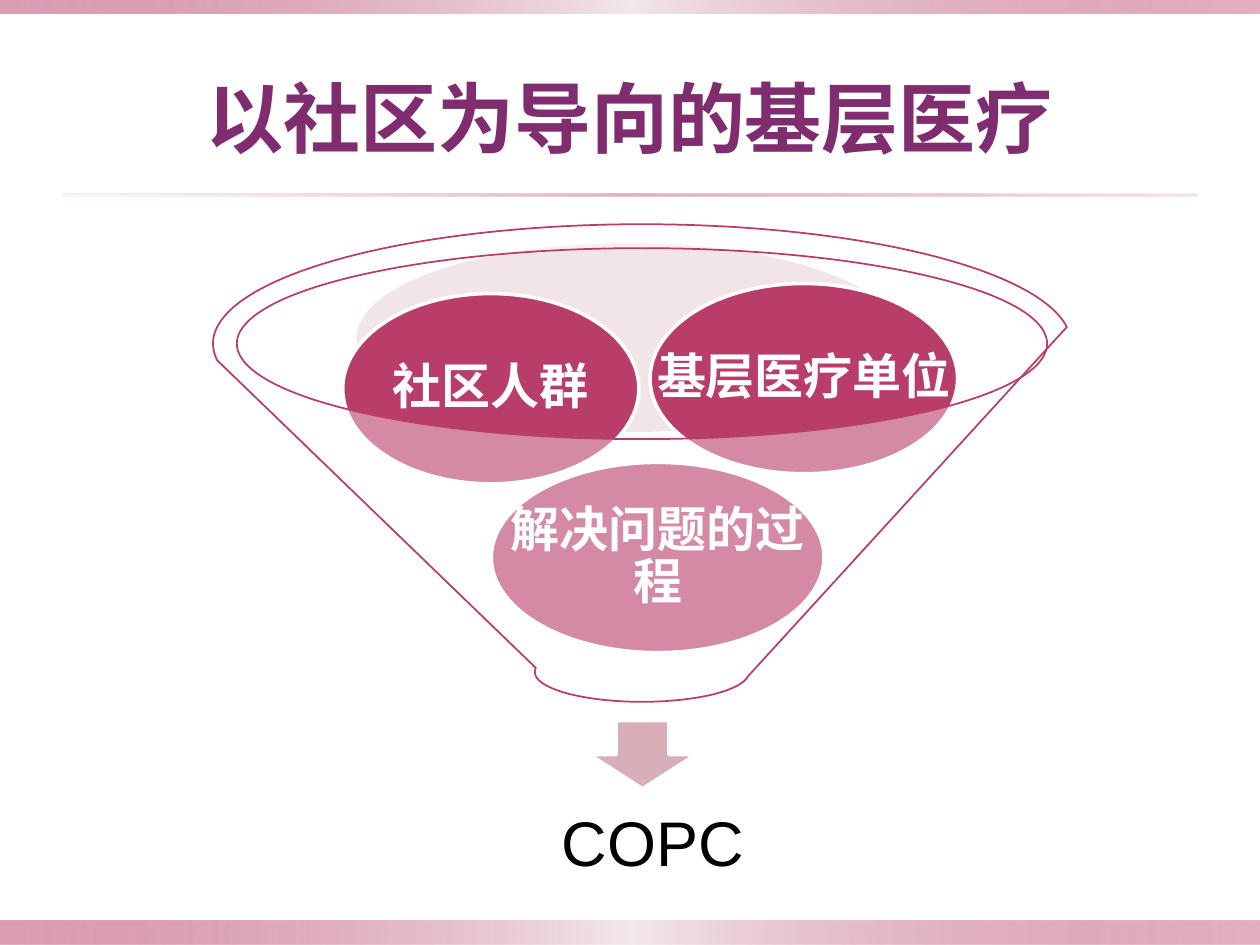
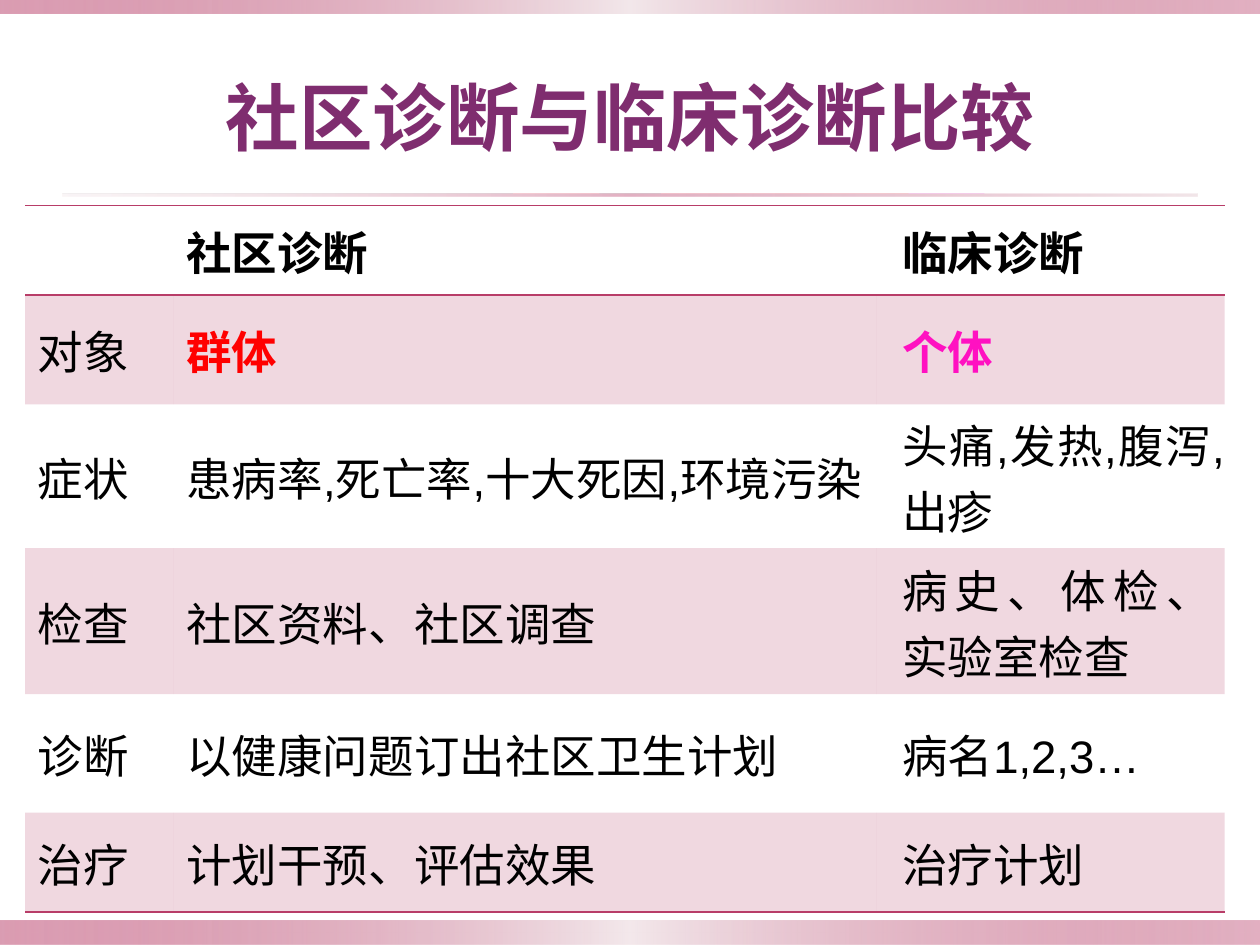
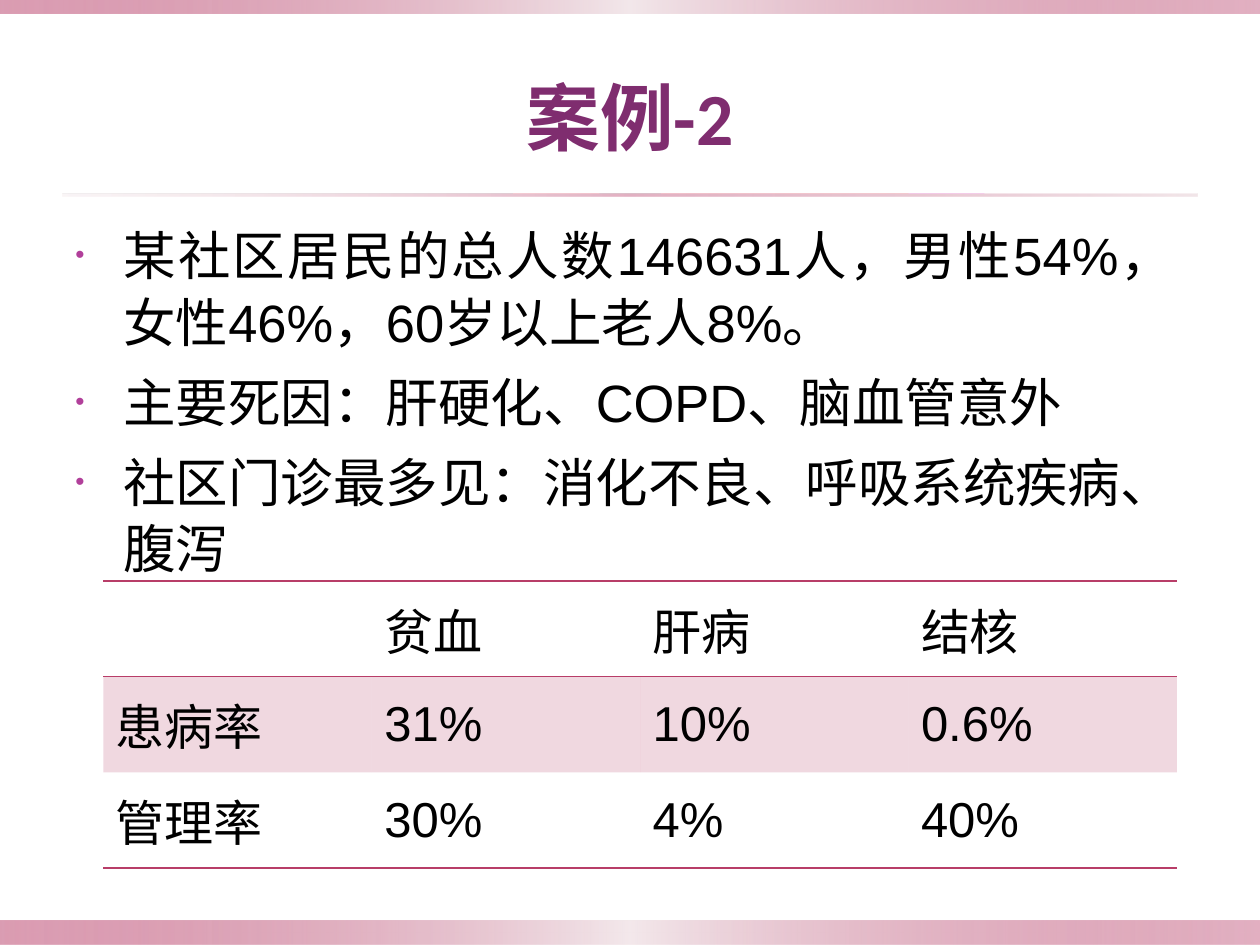
from lxml import etree
from pptx import Presentation
from pptx.dml.color import RGBColor
from pptx.enum.shapes import MSO_SHAPE
from pptx.enum.text import MSO_ANCHOR, PP_ALIGN
from pptx.oxml.ns import qn
from pptx.util import Inches, Pt

RECT, ELLIPSE = MSO_SHAPE.RECTANGLE, MSO_SHAPE.OVAL
FUNNEL, DOWN_ARROW = MSO_SHAPE.FUNNEL, MSO_SHAPE.DOWN_ARROW
TOP, MIDDLE = MSO_ANCHOR.TOP, MSO_ANCHOR.MIDDLE
LEFT, CENTER, JUSTIFY = PP_ALIGN.LEFT, PP_ALIGN.CENTER, PP_ALIGN.JUSTIFY

ROSE, WHITE, BLACK = "B83D68", "FFFFFF", "000000"
PLUM, RED, MAGENTA = "7F2D6F", "FF0000", "FF11C1"
BULLET = "B13F9A"
NO_STYLE = "{2D5ABB26-0587-4C30-8999-92F81FD0307C}"

BAND_STOPS = [(0, ROSE, 50), (50, "F3E8EB", 100), (100, ROSE, 40)]
RULE_STOPS = [(0, "E6CED4", 20), (50, ROSE, 40), (100, "E6CED4", 50)]
FRAME = [
    ((0, 7.31, 10, 0.19), BAND_STOPS),
    ((0, 0, 10, 0.11), BAND_STOPS),
    ((0.5, 1.54, 9, 0.02), RULE_STOPS),
]

COPC_PARTS = [
    ("解决问题的过程", (3.9, 3.67, 2.64, 1.51)),
    ("社区人群", (2.72, 2.33, 2.35, 1.51)),
    ("基层医疗单位", (5.16, 2.25, 2.44, 1.51)),
]

DIAGNOSIS = [
    ("", "社区诊断", "临床诊断"),
    ("对象", "群体", "个体"),
    ("症状", "患病率,死亡率,十大死因,环境污染", "头痛,发热,腹泻,出疹"),
    ("检查", "社区资料、社区调查", "病史、体检、实验室检查"),
    ("诊断", "以健康问题订出社区卫生计划", "病名1,2,3…"),
    ("治疗", "计划干预、评估效果", "治疗计划"),
]
DIAGNOSIS_COLS = [1.18, 5.58, 2.76]
DIAGNOSIS_ROWS = [0.71, 0.87, 1.14, 1.16, 0.94, 0.79]
EMPHASIS = {"社区诊断": BLACK, "临床诊断": BLACK, "群体": RED, "个体": MAGENTA}

CASE_POINTS = [
    "某社区居民的总人数146631人，男性54%，女性46%，60岁以上老人8%。",
    "主要死因：肝硬化、COPD、脑血管意外",
    "社区门诊最多见：消化不良、呼吸系统疾病、腹泻",
]
RATES = [
    ("", "贫血", "肝病", "结核"),
    ("患病率", "31%", "10%", "0.6%"),
    ("管理率", "30%", "4%", "40%"),
]


def rgb(value):
    return RGBColor.from_string(value)


def inches(box):
    return [Inches(v) for v in box]


def add_color(parent, color, opacity=100):
    clr = etree.SubElement(parent, qn("a:srgbClr"), val=color)
    if opacity < 100:
        etree.SubElement(clr, qn("a:alpha"), val=str(opacity * 1000))


def set_opacity(props, opacity):
    clr = props.find(qn("a:solidFill")).find(qn("a:srgbClr"))
    etree.SubElement(clr, qn("a:alpha"), val=str(opacity * 1000))


def add_shape(s, kind, box, fill=None, line=None, width=1, opacity=100):
    sp = s.shapes.add_shape(kind, *inches(box))
    sp.shadow.inherit = False
    if fill:
        sp.fill.solid()
        sp.fill.fore_color.rgb = rgb(fill)
        if opacity < 100:
            set_opacity(sp._element.spPr, opacity)
    if line:
        sp.line.color.rgb = rgb(line)
        sp.line.width = Pt(width)
    else:
        sp.line.fill.background()
    return sp


def add_gradient(s, box, stops):
    sp = add_shape(s, RECT, box)
    grad = etree.Element(qn("a:gradFill"), rotWithShape="1")
    gs_list = etree.SubElement(grad, qn("a:gsLst"))
    for pos, color, opacity in stops:
        gs = etree.SubElement(gs_list, qn("a:gs"), pos=str(pos * 1000))
        add_color(gs, color, opacity)
    etree.SubElement(grad, qn("a:lin"), ang="0", scaled="0")
    sp._element.spPr.find(qn("a:prstGeom")).addnext(grad)


def style(p, size, color=BLACK, bold=False, font="Arial", align=CENTER, spacing=None):
    p.alignment = align
    if spacing:
        p.line_spacing = spacing
    for r in p.runs:
        r._r.get_or_add_rPr().set("lang", "zh-CN")
        r.font.size, r.font.bold, r.font.name = Pt(size), bold, font
        r.font.color.rgb = rgb(color)


def add_text(s, box, text, inset=(0.1, 0.05), anchor=MIDDLE, **look):
    tf = s.shapes.add_textbox(*inches(box)).text_frame
    tf.word_wrap = True
    tf.vertical_anchor = anchor
    tf.margin_left = tf.margin_right = Inches(inset[0])
    tf.margin_top = tf.margin_bottom = Inches(inset[1])
    tf.text = text
    for p in tf.paragraphs:
        style(p, **look)
    return tf


def add_bullet(p):
    pPr = p._p.get_or_add_pPr()
    pPr.set("marL", str(Inches(0.38)))
    pPr.set("indent", str(-Inches(0.38)))
    add_color(etree.SubElement(pPr, qn("a:buClr")), BULLET)
    etree.SubElement(pPr, qn("a:buSzPct"), val="50000")
    etree.SubElement(pPr, qn("a:buFont"), typeface="Arial")
    etree.SubElement(pPr, qn("a:buChar"), char="•")


def add_border(cell, side):
    ln = etree.SubElement(cell._tc.get_or_add_tcPr(), qn("a:" + side), w=str(Pt(1)))
    add_color(etree.SubElement(ln, qn("a:solidFill")), ROSE)


def add_table(s, left, top, rows, widths, heights, size, align):
    box = inches((left, top, sum(widths), sum(heights)))
    table = s.shapes.add_table(len(rows), len(widths), *box).table
    table._tbl.tblPr.find(qn("a:tableStyleId")).text = NO_STYLE
    for col, width in zip(table.columns, widths):
        col.width = Inches(width)
    for i, (row, height) in enumerate(zip(rows, heights)):
        table.rows[i].height = Inches(height)
        for j, text in enumerate(row):
            cell = table.cell(i, j)
            cell.text = text
            cell.vertical_anchor = MIDDLE
            style(cell.text_frame.paragraphs[0], size, EMPHASIS.get(text, BLACK),
                  text in EMPHASIS, align=align)
            if i == 0:
                add_border(cell, "lnT")
            if i in (0, len(rows) - 1):
                add_border(cell, "lnB")
            if i % 2:
                cell.fill.solid()
                cell.fill.fore_color.rgb = rgb(ROSE)
                set_opacity(cell._tc.tcPr, 20)
            else:
                cell.fill.background()
    return table


def add_slide(prs, title, size=42):
    s = prs.slides.add_slide(prs.slide_layouts[6])
    for box, stops in FRAME:
        add_gradient(s, box, stops)
    add_text(s, (0.5, 0.3, 9, 1.25), title, size=size, color=PLUM, bold=True, font="Calibri")
    return s


def build_funnel(prs):
    s = add_slide(prs, "以社区为导向的基层医疗", 44)
    add_shape(s, ELLIPSE, (2.83, 1.93, 4.32, 1.5), "DFC0C7", opacity=40)
    add_shape(s, DOWN_ARROW, (4.68, 5.72, 0.84, 0.54), "D8AFB9", WHITE, 2)
    add_text(s, (0.98, 6.03, 8.4, 1), "COPC", inset=(0.28, 0.28), size=36, spacing=1.5)
    for text, box in COPC_PARTS:
        add_shape(s, ELLIPSE, box, ROSE, WHITE, 2)
        add_text(s, box, text, inset=(0.04, 0.04), size=28, color=WHITE, bold=True, spacing=0.9)
    add_shape(s, FUNNEL, (1.69, 1.78, 6.81, 3.79), WHITE, ROSE, opacity=40)


def build_comparison(prs):
    s = add_slide(prs, "社区诊断与临床诊断比较")
    table = add_table(s, 0.2, 1.63, DIAGNOSIS, DIAGNOSIS_COLS, DIAGNOSIS_ROWS, 26, JUSTIFY)
    for i in range(len(DIAGNOSIS)):
        table.cell(i, 2).margin_left = Inches(0.2)


def build_case(prs):
    s = add_slide(prs, "案例-2")
    tf = add_text(s, (0.5, 1.7, 8.91, 5.43), "\n".join(CASE_POINTS), anchor=TOP,
                  size=30, align=JUSTIFY, spacing=1.05)
    for i, p in enumerate(tf.paragraphs):
        if i:
            p.space_before = Pt(8)
        add_bullet(p)
    add_table(s, 0.82, 4.61, RATES, [2.13] * 4, [0.76] * 3, 28, LEFT)


def main():
    prs = Presentation()
    prs.slide_width, prs.slide_height = Inches(10), Inches(7.5)
    build_funnel(prs)
    build_comparison(prs)
    build_case(prs)
    prs.save("out.pptx")


if __name__ == "__main__":
    main()
